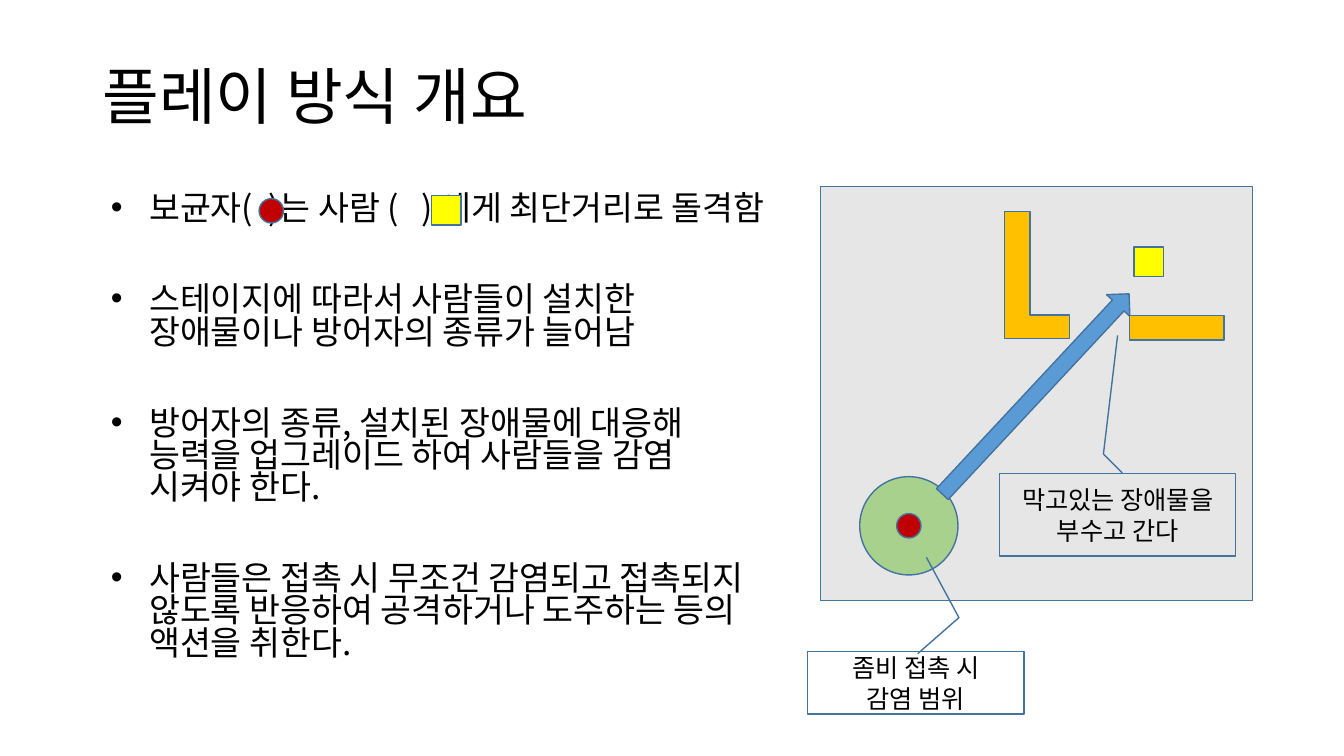
from lxml.etree import SubElement
from pptx import Presentation
from pptx.dml.color import RGBColor
from pptx.enum.shapes import MSO_SHAPE
from pptx.enum.text import MSO_ANCHOR, MSO_AUTO_SIZE, PP_ALIGN
from pptx.oxml.ns import qn
from pptx.util import Inches, Pt

# Grid of 160 columns by 90 rows on a 13.33 x 7.5 inch slide
CELL = Inches(13.333) / 160
FONT = "Noto Sans CJK KR"
BLACK = RGBColor(0x00, 0x00, 0x00)
OUTLINE = RGBColor(0x43, 0x73, 0x9E)
BOARD_GREY = RGBColor(0xE7, 0xE6, 0xE6)
RANGE_GREEN = RGBColor(0xA9, 0xD1, 0x8E)
CARRIER_RED = RGBColor(0xC0, 0x00, 0x00)
HUMAN_YELLOW = RGBColor(0xFF, 0xFF, 0x00)
WALL_ORANGE = RGBColor(0xFF, 0xC0, 0x00)
ARROW_BLUE = RGBColor(0x5B, 0x9B, 0xD5)

TITLE = "플레이 방식 개요"
RULES = [
    "보균자(  )는 사람 (   ) 에게 최단거리로 돌격함",
    "스테이지에 따라서 사람들이 설치한 장애물이나 방어자의 종류가 늘어남",
    "방어자의 종류, 설치된 장애물에 대응해 능력을 업그레이드 하여 사람들을 감염 시켜야 한다.",
    "사람들은 접촉 시 무조건 감염되고 접촉되지 않도록 반응하여 공격하거나 도주하는 등의 액션을 취한다.",
]


def grid(*cells):
    return [round(cell * CELL) for cell in cells]


def add_run(paragraph, text, size):
    run = paragraph.add_run()
    run.text = text
    run.font.size = Pt(size)
    run.font.name = FONT
    run.font.color.rgb = BLACK
    SubElement(run.font._element, qn("a:ea")).set("typeface", FONT)


def write_paragraphs(frame, texts, size, alignment):
    for index, text in enumerate(texts):
        paragraph = frame.paragraphs[0] if index == 0 else frame.add_paragraph()
        paragraph.alignment = alignment
        add_run(paragraph, text, size)


def fill_placeholder(placeholder, box, texts, size, anchor, line_spacing):
    placeholder.left, placeholder.top, placeholder.width, placeholder.height = grid(*box)
    frame = placeholder.text_frame
    frame.word_wrap = True
    frame.auto_size = MSO_AUTO_SIZE.NONE
    frame.vertical_anchor = anchor
    write_paragraphs(frame, texts, size, PP_ALIGN.LEFT)
    for paragraph in frame.paragraphs:
        paragraph.line_spacing = line_spacing


def format_bullets(frame):
    for index, paragraph in enumerate(frame.paragraphs):
        paragraph.space_before = Pt(10 if index == 0 else 42)
        properties = paragraph._p.get_or_add_pPr()
        properties.set("marL", str(Inches(0.38)))
        properties.set("indent", str(-Inches(0.38)))
        SubElement(properties, qn("a:buChar")).set("char", "•")


def format_figure(shape, color):
    shape.shadow.inherit = False
    if color is None:
        shape.fill.background()
    else:
        shape.fill.solid()
        shape.fill.fore_color.rgb = color
    shape.line.color.rgb = OUTLINE
    shape.line.width = Pt(1)


def add_figure(slide, kind, box, color=None, adjustments=(), rotation=0):
    shape = slide.shapes.add_shape(kind, *grid(*box))
    format_figure(shape, color)
    shape.rotation = rotation
    for index, value in enumerate(adjustments):
        shape.adjustments[index] = value
    return shape


def add_corner_wall(slide, box, bar, foot):
    left, top, width, height = box
    right, bottom = left + width, top + height
    corners = [(left + bar, top), (left + bar, bottom - foot), (right, bottom - foot),
               (right, bottom), (left, bottom)]
    builder = slide.shapes.build_freeform(*grid(left, top))
    builder.add_line_segments([grid(*corner) for corner in corners], close=True)
    format_figure(builder.convert_to_shape(), WALL_ORANGE)


def add_circle(slide, center_column, center_row, diameter, color):
    box = (center_column - diameter / 2, center_row - diameter / 2, diameter, diameter)
    add_figure(slide, MSO_SHAPE.OVAL, box, color)


def add_carrier(slide, center_column, center_row):
    add_circle(slide, center_column, center_row, 2.9, CARRIER_RED)


def add_human(slide, column, row):
    add_figure(slide, MSO_SHAPE.RECTANGLE, (column, row, 3.5, 3.5), HUMAN_YELLOW)


def add_callout(slide, box, leader, texts):
    callout = add_figure(slide, MSO_SHAPE.LINE_CALLOUT_2, box, adjustments=leader)
    frame = callout.text_frame
    frame.word_wrap = True
    frame.vertical_anchor = MSO_ANCHOR.MIDDLE
    write_paragraphs(frame, texts, 18, PP_ALIGN.CENTER)


def add_stage(slide):
    # Board, infection range and the two sides
    add_figure(slide, MSO_SHAPE.RECTANGLE, (97.7, 22.2, 51.4, 49.3), BOARD_GREY)
    add_circle(slide, 108.2, 62.6, 11.7, RANGE_GREEN)
    add_carrier(slide, 108.2, 62.6)
    add_human(slide, 135, 29.4)

    # Walls and the path of attack
    add_corner_wall(slide, (119.6, 25.2, 7.7, 15.1), bar=3, foot=2.8)
    add_figure(slide, MSO_SHAPE.RIGHT_ARROW, (107, 45, 32.6, 3.8), ARROW_BLUE, rotation=313)
    add_figure(slide, MSO_SHAPE.RECTANGLE, (134.5, 37.6, 11.2, 2.9), WALL_ORANGE)

    # Explanations
    add_callout(slide, (96.1, 77.6, 25.8, 7.4),
                (0.03, 0.51, -0.55, 0.7, -1.52, 0.55), ["좀비 접촉 시", "감염 범위"])
    add_callout(slide, (119, 56.4, 28.1, 9.8),
                (-0.01, 0.52, -0.24, 0.44, -1.68, 0.5), ["막고있는 장애물을 부수고 간다"])


def main():
    presentation = Presentation()
    presentation.slide_width = Inches(13.333)
    presentation.slide_height = Inches(7.5)
    slide = presentation.slides.add_slide(presentation.slide_layouts[1])

    # Title and rules
    title, body = slide.placeholders
    fill_placeholder(title, (11, 3.1, 138, 17.4), [TITLE], 44, MSO_ANCHOR.MIDDLE, 0.9)
    fill_placeholder(body, (12, 22.6, 80.6, 64.1), RULES, 24, MSO_ANCHOR.TOP, 0.8)
    format_bullets(body.text_frame)

    # Symbols inside the first rule
    add_carrier(slide, 32.3, 25.1)
    add_human(slide, 51.4, 23.3)

    add_stage(slide)
    presentation.save("out.pptx")


main()
